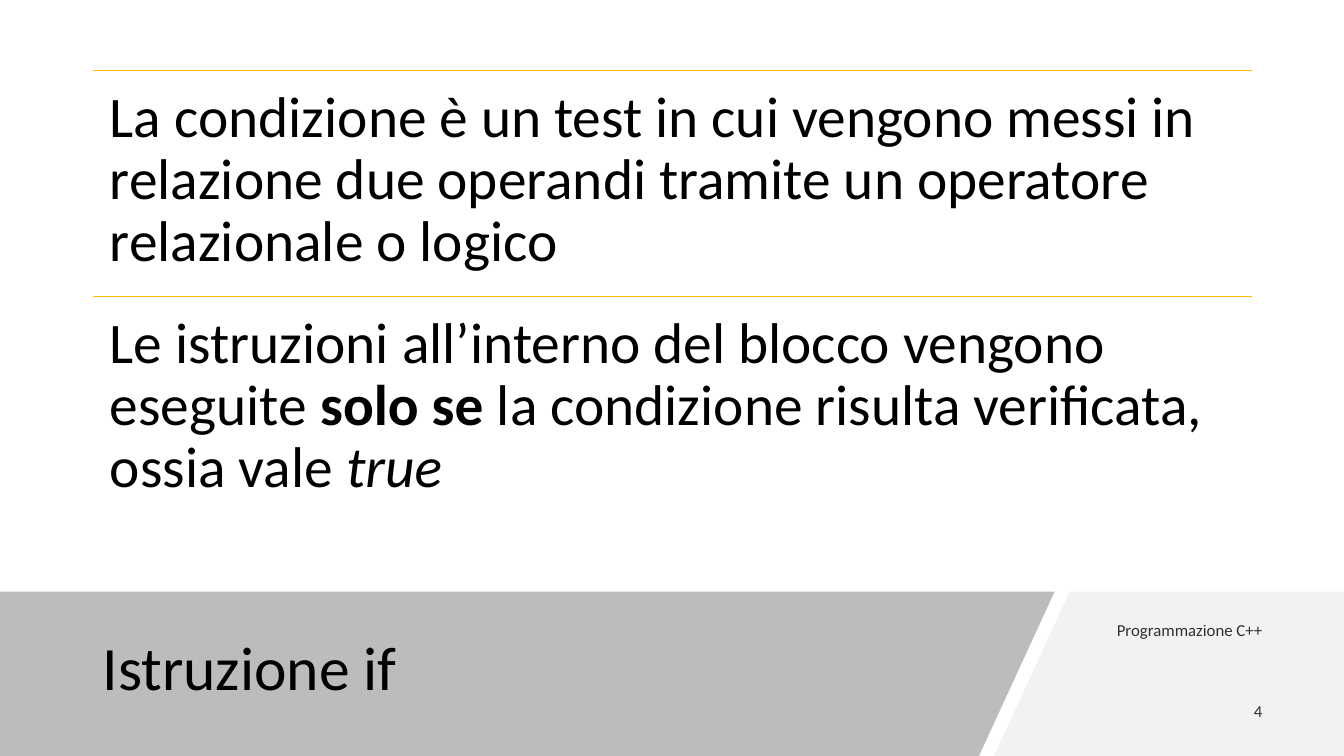
from dataclasses import dataclass

from lxml import etree
from pptx import Presentation
from pptx import util as u
from pptx.dml.color import RGBColor
from pptx.enum import shapes, text
from pptx.oxml.ns import qn

FONT = "Calibri"
BLACK = "000000"
BAND_TOP, SLIDE_W, SLIDE_H = 5.87, 13.33, 7.5
BODY_LEFT, BODY_TOP, BODY_W, ROW_H = 0.92, 0.7, 11.5, 2.24


@dataclass
class Run:
    words: str
    bold: bool = False
    italic: bool = False


@dataclass
class Label:
    runs: list[Run]
    left: float
    top: float
    width: float
    height: float
    size: int
    alpha: int = 100
    right_aligned: bool = False
    line_spacing: float = 1.0
    middle: bool = True
    insets: tuple[float, float] = (0.1, 0.05)


@dataclass
class Panel:
    corners: list[tuple[float, float]]
    color: str
    alpha: int = 100


def paint(fill, color: str, alpha: int = 100) -> None:
    """Make a fill solid, with its opacity in percent."""
    fill.solid()
    fill.fore_color.rgb = RGBColor.from_string(color)
    if alpha < 100:
        srgb = fill._xPr.find(qn("a:solidFill")).find(qn("a:srgbClr"))
        etree.SubElement(srgb, qn("a:alpha"), val=str(alpha * 1000))


def draw_panel(slide, panel: Panel) -> None:
    points = [(u.Inches(x), u.Inches(y)) for x, y in panel.corners]
    builder = slide.shapes.build_freeform(*points[0])
    builder.add_line_segments(points[1:], close=True)
    shape = builder.convert_to_shape()
    shape.shadow.inherit = False
    paint(shape.fill, panel.color, panel.alpha)
    shape.line.fill.background()


def draw_label(slide, label: Label) -> None:
    box = slide.shapes.add_textbox(u.Inches(label.left), u.Inches(label.top),
                                   u.Inches(label.width), u.Inches(label.height))
    frame = box.text_frame
    frame.word_wrap = True
    side, edge = (u.Inches(inset) for inset in label.insets)
    frame.margin_left = frame.margin_right = side
    frame.margin_top = frame.margin_bottom = edge
    frame.vertical_anchor = text.MSO_ANCHOR.MIDDLE if label.middle else text.MSO_ANCHOR.TOP
    paragraph = frame.paragraphs[0]
    paragraph.alignment = text.PP_ALIGN.RIGHT if label.right_aligned else text.PP_ALIGN.LEFT
    paragraph.line_spacing = label.line_spacing
    for part in label.runs:
        run = paragraph.add_run()
        run.text = part.words
        run.font.name = FONT
        run.font.size = u.Pt(label.size)
        run.font.bold = part.bold
        run.font.italic = part.italic
        paint(run.font.fill, BLACK, label.alpha)


def draw_rule(slide, top: float) -> None:
    """Draw the thin line above a statement."""
    rule = slide.shapes.add_connector(shapes.MSO_CONNECTOR.STRAIGHT,
                                      u.Inches(BODY_LEFT), u.Inches(top),
                                      u.Inches(BODY_LEFT + BODY_W), u.Inches(top))
    paint(rule.line.fill, "FFC000")
    rule.line.width = u.Pt(0.5)
    etree.SubElement(rule._element.spPr, qn("a:effectLst"))


PANELS = [
    Panel([(10.61, BAND_TOP), (SLIDE_W, BAND_TOP), (SLIDE_W, SLIDE_H), (9.86, SLIDE_H)],
          "F2F2F2"),
    Panel([(0, BAND_TOP), (10.46, BAND_TOP), (9.71, SLIDE_H), (0, SLIDE_H)],
          "595959", 40),
]
BAND_LABELS = [
    Label([Run("Istruzione if")], 0.92, 6.05, 8.83, 1.2, 44, line_spacing=0.9),
    Label([Run("Programmazione C++")], 10.55, 6.05, 2.07, 0.4, 12, 80, True),
    Label([Run("4")], 11.15, 6.85, 1.47, 0.4, 12, 80, True),
]
STATEMENTS = [
    [Run("La condizione è un test in cui vengono messi in relazione due operandi "
         "tramite un operatore relazionale o logico")],
    [Run("Le istruzioni all’interno del blocco vengono eseguite "),
     Run("solo se", bold=True),
     Run(" la condizione risulta verificata, ossia vale "),
     Run("true", italic=True)],
]


def main() -> None:
    deck = Presentation()
    deck.slide_width, deck.slide_height = u.Inches(SLIDE_W), u.Inches(SLIDE_H)
    slide = deck.slides.add_slide(deck.slide_layouts[6])
    for panel in PANELS:
        draw_panel(slide, panel)
    for label in BAND_LABELS:
        draw_label(slide, label)
    for row, runs in enumerate(STATEMENTS):
        top = BODY_TOP + row * ROW_H
        draw_rule(slide, top)
        draw_label(slide, Label(runs, BODY_LEFT, top, BODY_W, ROW_H, 41, line_spacing=0.9,
                                middle=False, insets=(0.17, 0.17)))
    deck.save("out.pptx")


if __name__ == "__main__":
    main()
